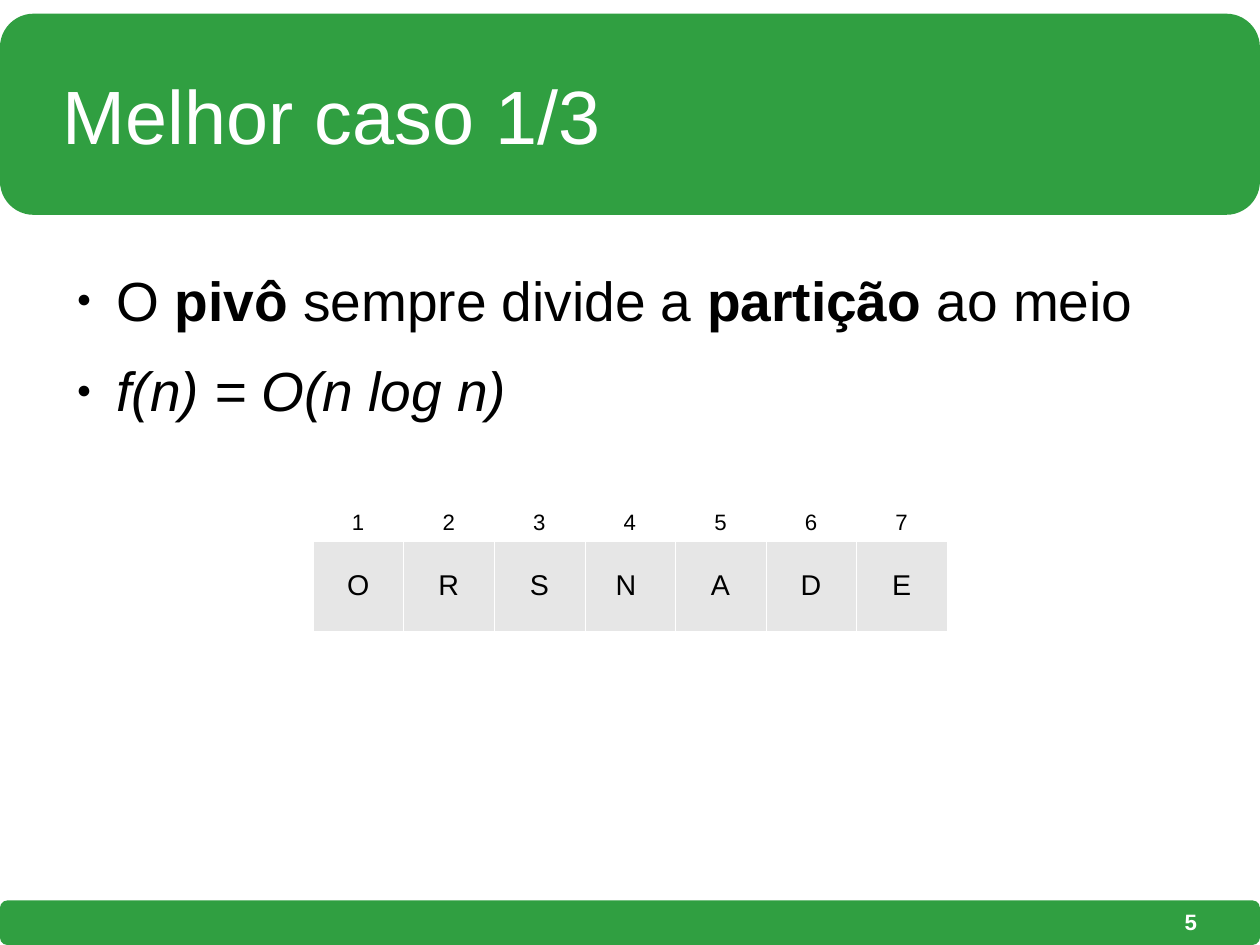
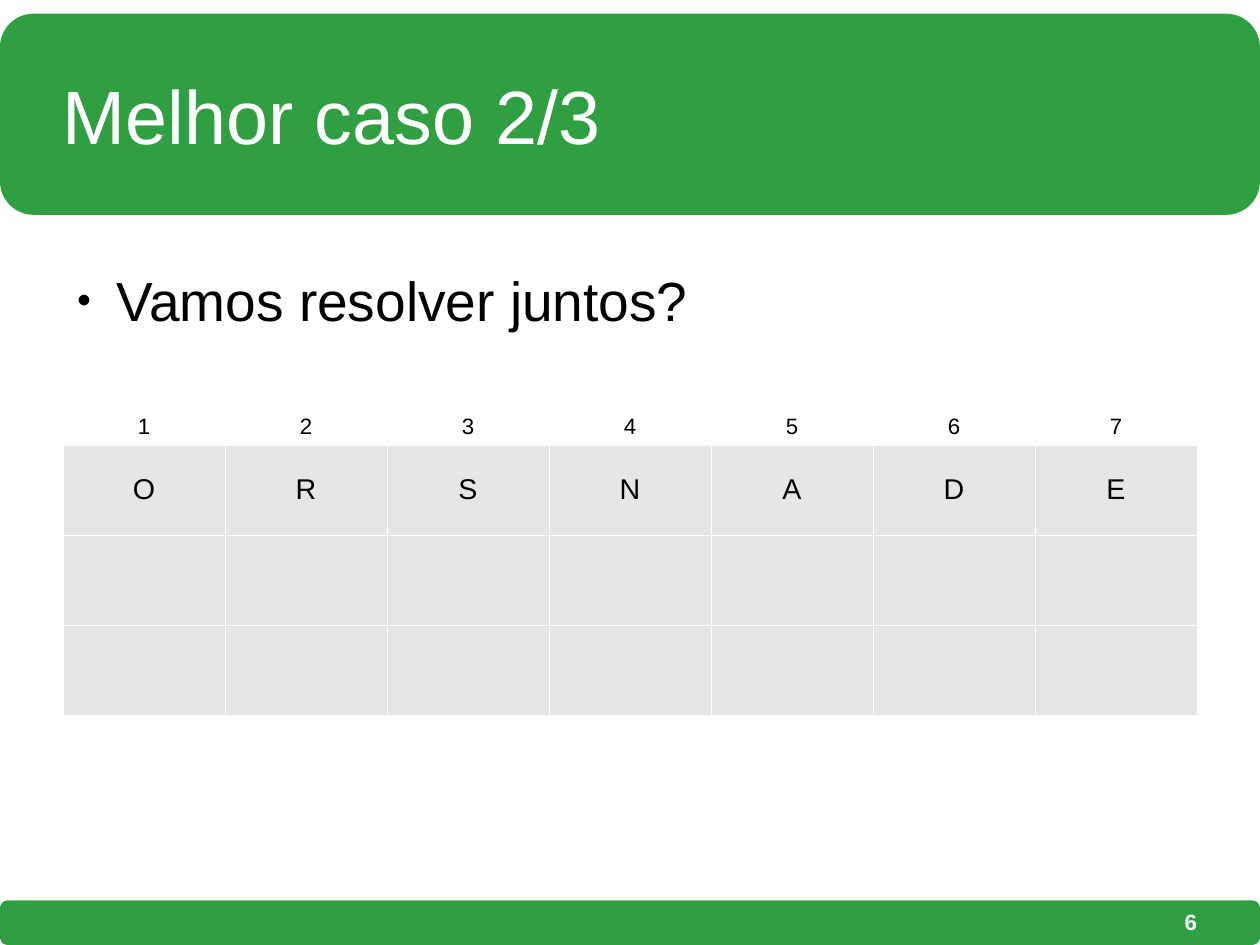
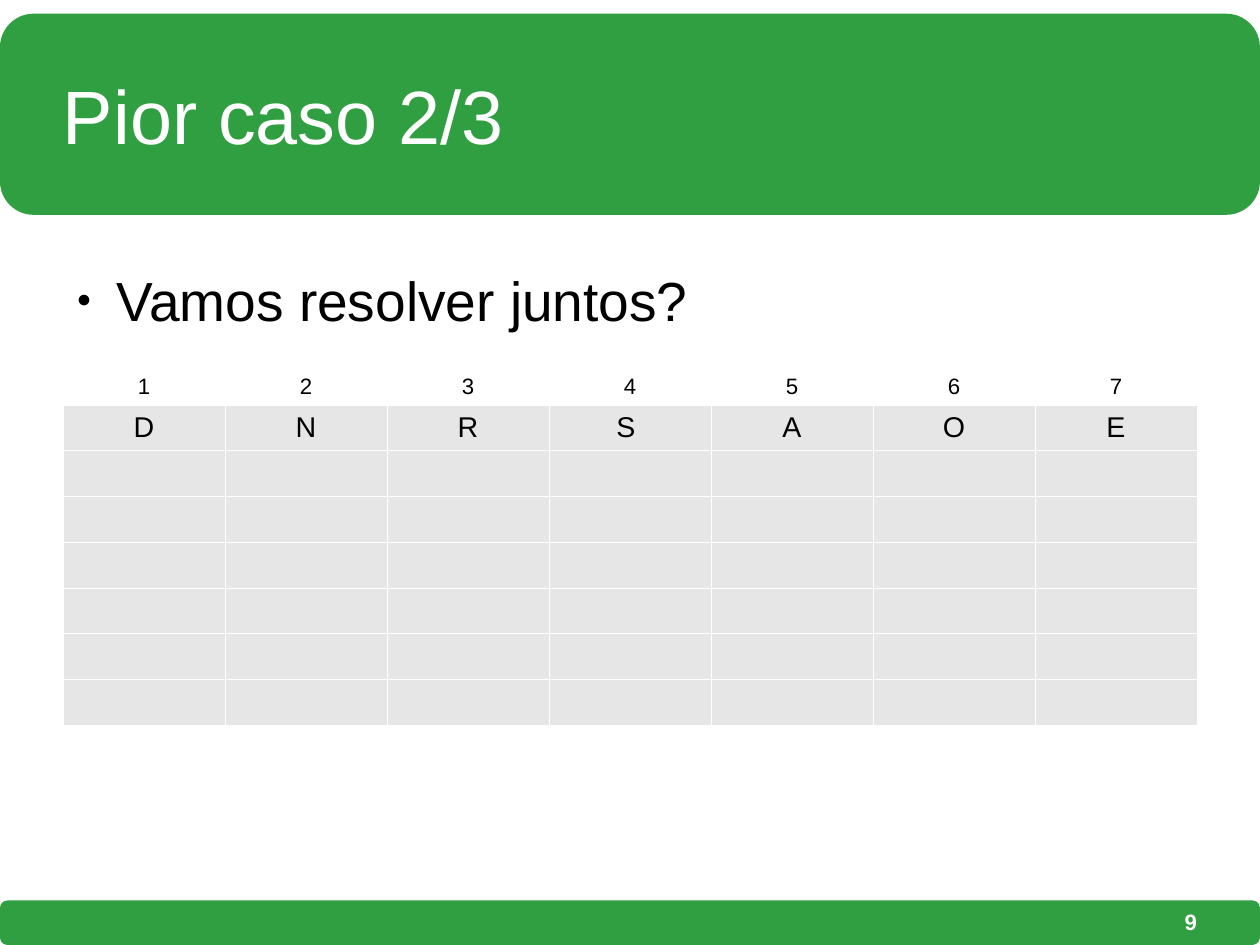
import pptx
import pptx.util
import pptx.dml.color
import pptx.enum.shapes
import pptx.enum.text
import pptx.oxml

Inch = pptx.util.Inches
Cm = pptx.util.Cm
Pt = pptx.util.Pt
Rgb = pptx.dml.color.RGBColor
Align = pptx.enum.text.PP_ALIGN
Mid = pptx.enum.text.MSO_ANCHOR.MIDDLE
Low = pptx.enum.text.MSO_ANCHOR.BOTTOM
Top = pptx.enum.text.MSO_ANCHOR.TOP
ROUND = pptx.enum.shapes.MSO_SHAPE.ROUNDED_RECTANGLE

GREEN = Rgb(0x30, 0x9F, 0x41)
WHITE = Rgb(255, 255, 255)
BLACK = Rgb(0, 0, 0)
GREY = Rgb(0xE6, 0xE6, 0xE6)

WIDE, HIGH = Cm(28).inches, Cm(21).inches
EDGE = WIDE * 0.05
SPAN = WIDE - 2 * EDGE
FOOT = 0.39
BANDS = [(HIGH - FOOT, FOOT), (0.12, 1.76)]
SPOTS = {
    "title": (EDGE, 0.32, SPAN, 1.36),
    "body": (EDGE, 2.33, SPAN, 4.79),
    "page": (EDGE + SPAN - 2.57, 7.87, 2.57, FOOT),
}
FONTS = {
    "title": {"size": Pt(47.6), "color": WHITE},
    "body": {"size": Pt(34.7), "color": BLACK},
    "page": {"size": Pt(14), "color": WHITE, "bold": True},
    "index": {"size": Pt(14), "color": BLACK},
    "letter": {"size": Pt(18), "color": BLACK},
}
BOLD = {"bold": True}
SLANT = {"italic": True}
ASK = [[("Vamos resolver juntos?", {})]]

SLIDES = [
    {
        "title": "Melhor caso 1/3",
        "page": "5",
        "body": [
            [("O ", {}), ("pivô", BOLD), (" sempre divide a ", {}),
             ("partição", BOLD), (" ao meio", {})],
            [("f(n) = O(n log n)", SLANT)],
        ],
        "cells": ["O", "R", "S", "N ", "A", "D", "E"],
        "top": 3.94, "width": 5.55, "rows": [0.79] * 2,
    },
    {
        "title": "Melhor caso 2/3",
        "page": "6",
        "body": ASK,
        "cells": list("ORSNADE"),
        "top": 3.1, "width": SPAN, "rows": [0.79] * 4,
    },
    {
        "title": "Pior caso 2/3",
        "page": "9",
        "body": ASK,
        "cells": ["D", "N", "R", "S ", "A", "O", "E"],
        "top": 3.2, "width": SPAN, "rows": [0.34, 0.39] + [0.4] * 6,
    },
]


def node(tag, inner="", **attrs):
    space = "http://schemas.openxmlformats.org/drawingml/2006/main"
    pairs = "".join(f' {key}="{val}"' for key, val in attrs.items())
    return pptx.oxml.parse_xml(
        f'<a:{tag} xmlns:a="{space}"{pairs}>{inner}</a:{tag}>')


def write(par, text, kind, extra):
    run = par.add_run()
    run.text = text
    run.font.name = "Arial"
    for key, val in {**FONTS[kind], **extra}.items():
        if key == "color":
            run.font.color.rgb = val
        else:
            setattr(run.font, key, val)


def add_text(slide, kind, lines, anchor, align):
    box = slide.shapes.add_textbox(*map(Inch, SPOTS[kind]))
    frame = box.text_frame
    look = {"word_wrap": True, "vertical_anchor": anchor, "margin_left": 0,
            "margin_top": 0, "margin_right": 0, "margin_bottom": 0}
    for key, val in look.items():
        setattr(frame, key, val)
    for pos, line in enumerate(lines):
        par = frame.add_paragraph() if pos else frame.paragraphs[0]
        par.alignment = align
        for text, extra in line:
            write(par, text, kind, extra)
    return frame


def add_list(slide, lines):
    frame = add_text(slide, "body", lines, Top, Align.JUSTIFY)
    for par in frame.paragraphs:
        par.space_after = Pt(15.3)
        props = par._p.get_or_add_pPr()
        props.set("marL", str(Inch(0.47)))
        props.set("indent", str(Inch(-0.35)))
        props.append(node("buClr", f'<a:srgbClr val="{BLACK}"/>'))
        props.append(node("buSzPct", val=45000))
        props.append(node("buFont", typeface="Arial"))
        props.append(node("buChar", char="●"))


def add_bands(slide):
    for top, tall in BANDS:
        band = slide.shapes.add_shape(
            ROUND, 0, Inch(top), Inch(WIDE), Inch(tall))
        band.shadow.inherit = False
        band.adjustments[0] = 0.167
        band.fill.solid()
        band.fill.fore_color.rgb = GREEN
        band.line.fill.background()


def add_grid(slide, data):
    cells, rows, width = data["cells"], data["rows"], data["width"]
    count = len(cells)
    grid = slide.shapes.add_table(
        len(rows), count, Inch((WIDE - width) / 2), Inch(data["top"]),
        Inch(width), Inch(sum(rows))).table
    grid.first_row = grid.horz_banding = False
    for row, tall in zip(grid.rows, rows):
        row.height = Inch(tall)
    texts = [("index", Low, [str(n + 1) for n in range(count)]),
             ("letter", Mid, cells)]
    stroke = f'<a:solidFill><a:srgbClr val="{WHITE}"/></a:solidFill>'
    for y, row in enumerate(grid.rows):
        for x, cell in enumerate(row.cells):
            props = cell._tc.get_or_add_tcPr()
            for side in ("lnL", "lnR", "lnT", "lnB"):
                props.append(node(side, stroke, w=Pt(0.06)))
            if y:
                cell.fill.solid()
                cell.fill.fore_color.rgb = GREY
            else:
                cell.fill.background()
            if y < len(texts):
                kind, anchor, words = texts[y]
                cell.vertical_anchor = anchor
                par = cell.text_frame.paragraphs[0]
                par.alignment = Align.CENTER
                write(par, words[x], kind, {})


def main():
    deck = pptx.Presentation()
    deck.slide_width, deck.slide_height = Inch(WIDE), Inch(HIGH)
    for data in SLIDES:
        slide = deck.slides.add_slide(deck.slide_layouts[6])
        add_bands(slide)
        add_text(slide, "title", [[(data["title"], {})]], Mid, Align.LEFT)
        add_list(slide, data["body"])
        add_grid(slide, data)
        add_text(slide, "page", [[(data["page"], {})]], Mid, Align.RIGHT)
    deck.save("out.pptx")


if __name__ == "__main__":
    main()
